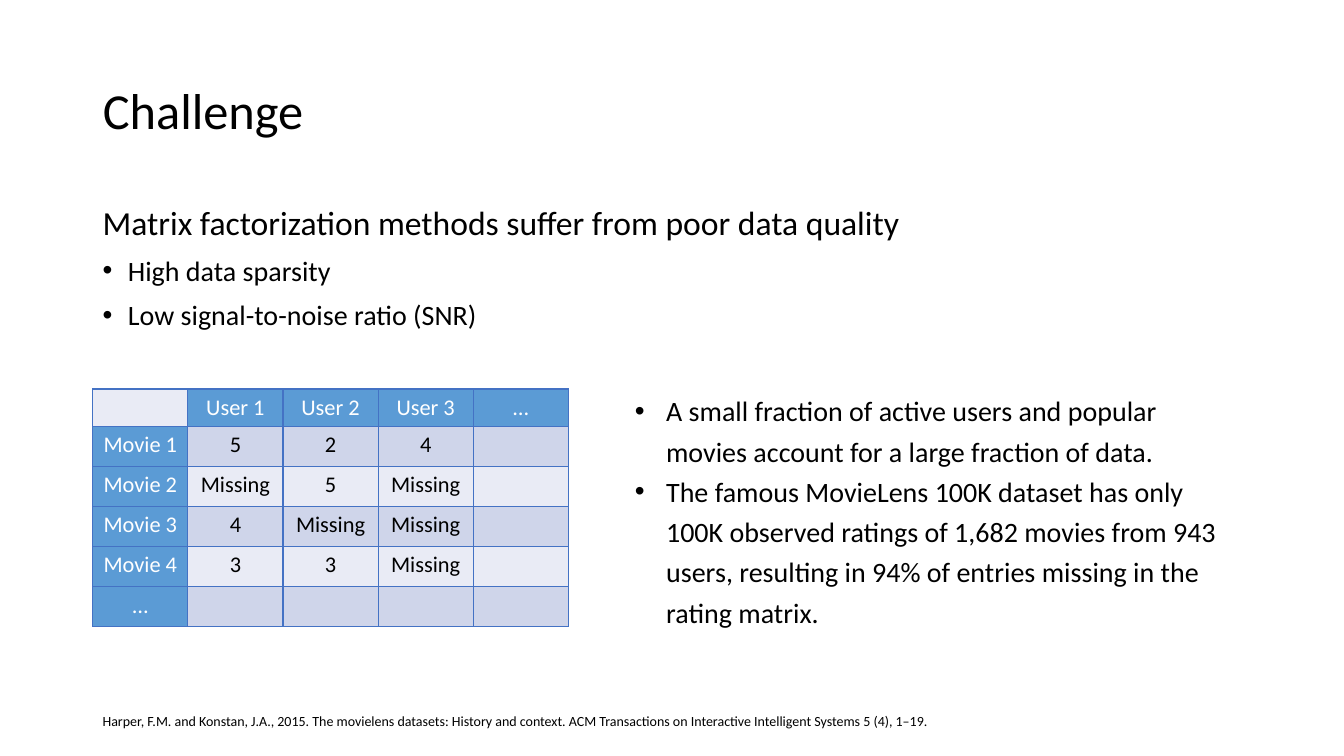
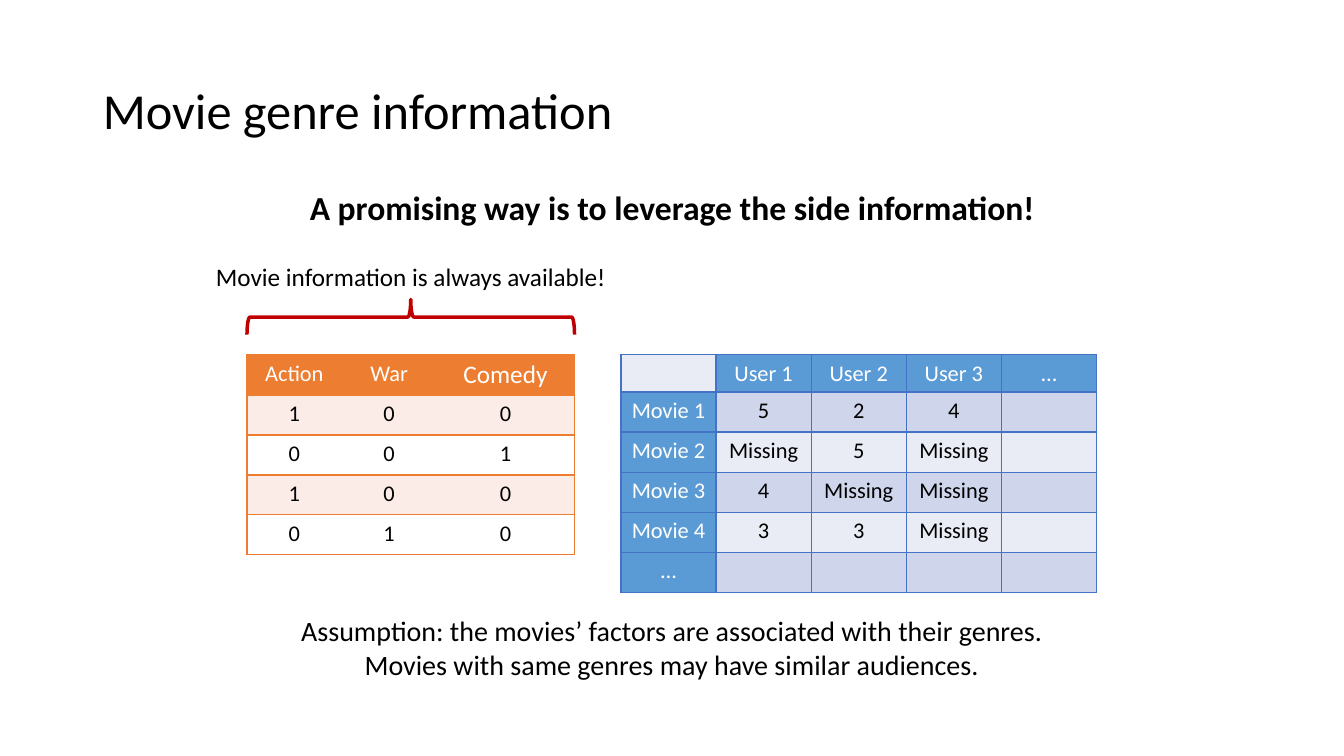
from lxml import etree
from pptx import Presentation
from pptx import util as u
from pptx.dml.color import RGBColor
from pptx.enum import shapes, text
from pptx.oxml.ns import qn

PX = 9144
FONT = "Calibri"
BLACK = RGBColor(0x00, 0x00, 0x00)
WHITE = RGBColor(0xFF, 0xFF, 0xFF)
BLUE = RGBColor(0x5B, 0x9B, 0xD5)
EDGE = RGBColor(0x44, 0x72, 0xC4)
MIST = RGBColor(0xCF, 0xD5, 0xEA)
PALE = RGBColor(0xE9, 0xEB, 0xF5)
ORANGE = RGBColor(0xED, 0x7D, 0x31)
PEACH = RGBColor(0xFC, 0xEC, 0xE8)
RED = RGBColor(0xC0, 0x00, 0x00)
LEFT = text.PP_ALIGN.LEFT
CENTER = text.PP_ALIGN.CENTER
TOP = text.MSO_ANCHOR.TOP
MIDDLE = text.MSO_ANCHOR.MIDDLE
PLAIN = "{2D5ABB26-0587-4C30-8999-92F81FD0307C}"

RATINGS = [
    ["", "User 1", "User 2", "User 3", "…"],
    ["Movie 1", "5", "2", "4", ""],
    ["Movie 2", "Missing", "5", "Missing", ""],
    ["Movie 3", "4", "Missing", "Missing", ""],
    ["Movie 4", "3", "3", "Missing", ""],
    ["…", "", "", "", ""],
]
GENRES = [
    ["Action", "War", "Comedy"],
    ["1", "0", "0"],
    ["0", "0", "1"],
    ["1", "0", "0"],
    ["0", "1", "0"],
]


def write(para, words, size=20, color=BLACK, bold=False, align=LEFT,
          line=None, before=0, indent=0):
    para.alignment = align
    if line:
        para.line_spacing = line
    if before:
        para.space_before = u.Pt(before)
    if indent:
        props = para._p.get_or_add_pPr()
        props.set("marL", str(indent * PX))
        props.set("indent", str(-indent * PX))
        etree.SubElement(props, qn("a:buFont"), typeface="Arial")
        etree.SubElement(props, qn("a:buChar"), char="•")
    if not words:
        etree.SubElement(para._p, qn("a:endParaRPr"), sz=str(size * 100))
        return
    run = para.add_run()
    run.text = words
    font = run.font
    font.name, font.size, font.bold = FONT, u.Pt(size), bold
    font.color.rgb = color


def border(cell, sides, color):
    props = cell._tc.get_or_add_tcPr()
    for side in sides:
        line = etree.SubElement(props, qn("a:ln" + side), w=str(u.Pt(1)))
        fill = etree.SubElement(line, qn("a:solidFill"))
        etree.SubElement(fill, qn("a:srgbClr"), val=str(color))


class Deck:
    def __init__(self):
        self.file = Presentation()
        self.file.slide_width = u.Inches(13.333)
        self.file.slide_height = u.Inches(7.5)
        self.slide = None

    def page(self, title):
        self.slide = self.file.slides.add_slide(self.file.slide_layouts[5])
        head = self.slide.shapes.title
        head.left, head.top, head.width, head.height = (
            n * PX for n in (92, 40, 1150, 145))
        frame = head.text_frame
        frame.auto_size = text.MSO_AUTO_SIZE.NONE
        frame.vertical_anchor = MIDDLE
        write(frame.paragraphs[0], title, size=36, line=0.9)

    def box(self, x, y, w, h, lines, anchor=TOP, wrap=True, **style):
        frame = self.slide.shapes.add_textbox(
            x * PX, y * PX, w * PX, h * PX).text_frame
        frame.word_wrap = wrap
        frame.vertical_anchor = anchor
        for i, item in enumerate(lines):
            words, extra = item if isinstance(item, tuple) else (item, {})
            para = frame.add_paragraph() if i else frame.paragraphs[0]
            write(para, words, **{**style, **extra})

    def table(self, x, y, w, h, data, cols, rows, look):
        table = self.slide.shapes.add_table(
            len(data), len(cols), x * PX, y * PX, w * PX, h * PX).table
        table._tbl.tblPr.find(qn("a:tableStyleId")).text = PLAIN
        table.first_row = table.horz_banding = False
        for part, share in zip(table.columns, cols):
            part.width = w * PX * share // sum(cols)
        for part, share in zip(table.rows, rows):
            part.height = h * PX * share // sum(rows)
        for r, row in enumerate(data):
            for c, words in enumerate(row):
                cell = table.cell(r, c)
                sides, edge, back, style = look(r, c)
                border(cell, sides, edge)
                cell.fill.solid()
                cell.fill.fore_color.rgb = back
                write(cell.text_frame.paragraphs[0], words,
                      align=CENTER, **{"size": 16, **style})

    def ratings(self, x, y):
        def look(r, c):
            head = (r == 0) != (c == 0)
            back = BLUE if head else MIST if r % 2 else PALE
            return "LRTB", EDGE, back, {"color": WHITE if head else BLACK}

        self.table(x, y, 472, 236, RATINGS, [1] * 5, [37] + [40] * 5, look)

    def genres(self, x, y):
        def look(r, c):
            sides = {0: "LTB", 2: "RTB"}.get(c, "TB")
            if r:
                return sides, ORANGE, PEACH if r % 2 else WHITE, {}
            style = {"color": WHITE, "size": 18 if c == 2 else 16}
            return sides, ORANGE, ORANGE, style

        self.table(x, y, 325, 198, GENRES, [94, 94, 137], [1] * 5, look)

    def brace(self, x, y, w, h):
        shape = self.slide.shapes.add_shape(
            shapes.MSO_SHAPE.RIGHT_BRACE, x * PX + (w - h) * PX // 2,
            y * PX + (h - w) * PX // 2, h * PX, w * PX)
        shape.rotation = 270
        shape.shadow.inherit = False
        shape.fill.background()
        shape.line.color.rgb = RED
        shape.line.width = u.Pt(2.5)


def main():
    deck = Deck()

    deck.page("Challenge")
    point = {"indent": 25, "before": 10}
    deck.box(92, 200, 1150, 145, [
        ("Matrix factorization methods suffer from poor data quality",
         {"size": 24}),
        ("High data sparsity", point),
        ("Low signal-to-noise ratio (SNR)", point),
    ], line=0.9)
    deck.box(620, 379, 622, 250, [
        "A small fraction of active users and popular movies account for "
        "a large fraction of data.",
        "The famous MovieLens 100K dataset has only 100K observed ratings "
        "of 1,682 movies from 943 users, resulting in 94% of entries "
        "missing in the rating matrix.",
    ], line=1.2, indent=31)
    deck.box(92, 695, 1150, 40, [
        "Harper, F.M. and Konstan, J.A., 2015. The movielens datasets: "
        "History and context. ACM Transactions on Interactive Intelligent "
        "Systems 5 (4), 1–19.",
    ], anchor=MIDDLE, size=10)
    deck.ratings(92, 386)

    deck.page("Movie genre information")
    deck.box(92, 185, 1150, 61,
             ["A promising way is to leverage the side information!"],
             size=24, bold=True, align=CENTER, line=0.9)
    deck.ratings(616, 352)
    deck.genres(245, 352)
    deck.brace(245, 297, 325, 35)
    deck.box(202, 254, 411, 40, ["Movie information is always available!"],
             wrap=False, size=18, align=CENTER)
    deck.box(270, 604, 793, 77, [
        "Assumption: the movies’ factors are associated with their genres.",
        "Movies with same genres may have similar audiences.",
    ], wrap=False, align=CENTER)

    deck.file.save("out.pptx")


if __name__ == "__main__":
    main()
